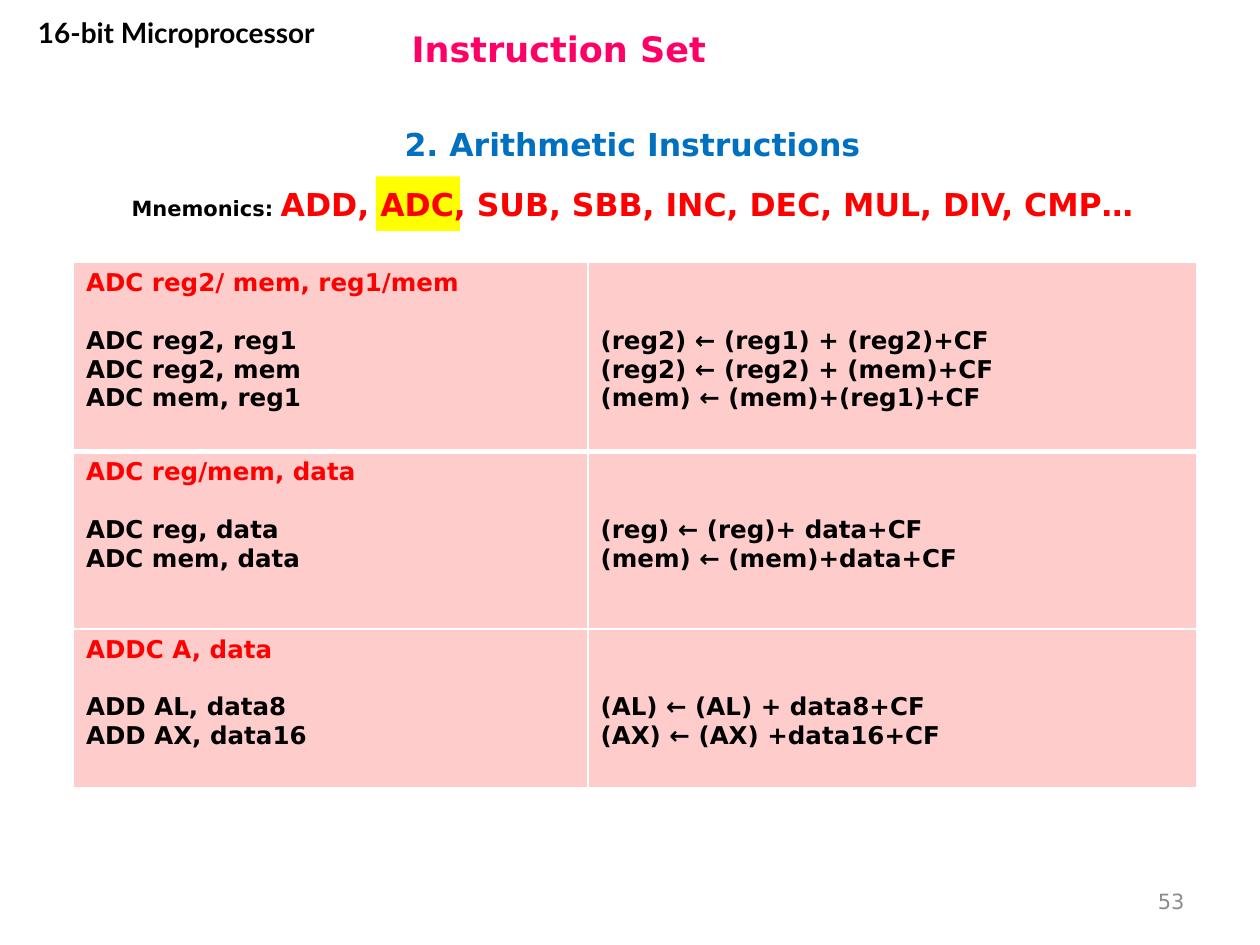
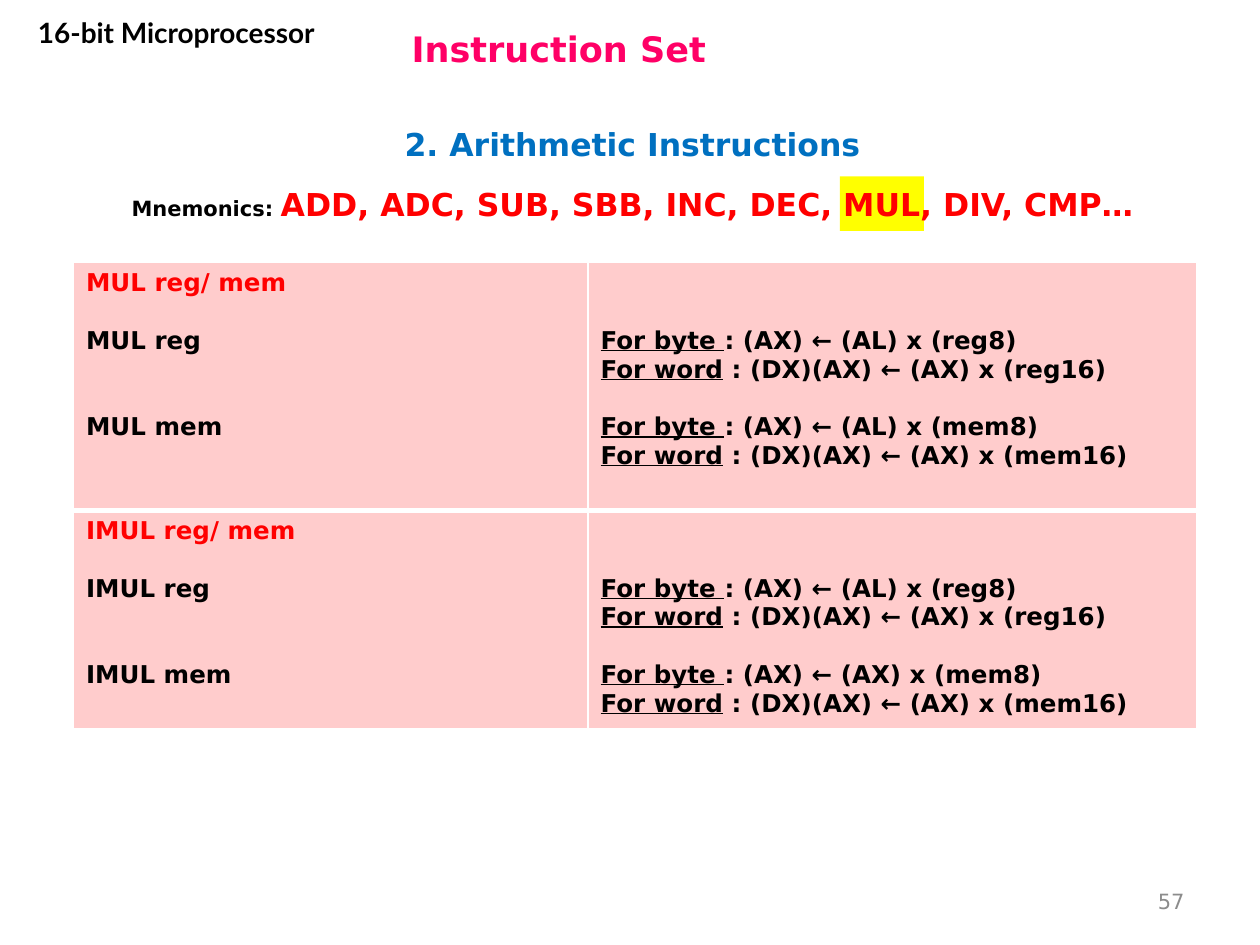
from dataclasses import dataclass
from typing import NamedTuple

from lxml.etree import SubElement
from pptx import Presentation
from pptx.dml.color import RGBColor
from pptx.enum.shapes import MSO_SHAPE as Preset
from pptx.enum.text import MSO_ANCHOR as Anchor, MSO_AUTO_SIZE as AutoSize, PP_ALIGN as Align
from pptx.oxml.ns import qn
from pptx.util import Length, Pt

PINK = RGBColor(0xFF, 0x00, 0x66)
BLUE = RGBColor(0x00, 0x70, 0xC0)
RED = RGBColor(0xFF, 0x00, 0x00)
BLACK = RGBColor(0x00, 0x00, 0x00)
GREY = RGBColor(0x8C, 0x8C, 0x8C)
YELLOW = RGBColor(0xFF, 0xFF, 0x00)
ROSE = RGBColor(0xFF, 0xCC, 0xCC)
WHITE = RGBColor(0xFF, 0xFF, 0xFF)

deck = Presentation()
GRID_COLUMNS, GRID_ROWS = 120, 90
TITLE_ONLY = 5
BLANK_LINE = Pt(16.5)
EFFECT_COLUMN_BLANKS = 2


class Area(NamedTuple):
    left: float
    top: float
    width: float
    height: float


class Style(NamedTuple):
    size: float
    color: RGBColor
    name: str = "DejaVu Sans"
    bold: bool = True
    underline: bool = False


class Run(NamedTuple):
    text: str
    style: Style


class Line(NamedTuple):
    runs: tuple[Run, ...]
    blanks_before: int = 0


@dataclass(frozen=True)
class Label:
    area: Area
    runs: tuple[Run, ...]
    align: Align = Align.CENTER
    anchor: Anchor = Anchor.MIDDLE


@dataclass(frozen=True)
class Group:
    rows: float
    forms: tuple[Line, ...]
    effects: tuple[Line, ...]


@dataclass(frozen=True)
class Page:
    number: str
    highlight_left: float
    groups: tuple[Group, ...]


SYNTAX = Style(14, RED)
CODE = Style(14, BLACK)
MARKED = CODE._replace(underline=True)

TITLE = Label(Area(38, 1.4, 79, 6.4), (Run("Instruction Set", Style(20, PINK)),), Align.LEFT)
SHARED_LABELS = (
    Label(Area(3.5, 11.1, 113.5, 5.2),
          (Run("2. Arithmetic Instructions", Style(18, BLUE)),)),
    Label(Area(0.8, 0.9, 32, 7.7),
          (Run("16-bit Microprocessor", Style(16, BLACK, "Lato")),), anchor=Anchor.TOP),
    Label(Area(3.5, 17, 113.5, 4.8),
          (Run("Mnemonics: ", Style(12, BLACK)),
           Run("ADD, ADC, SUB, SBB, INC, DEC, MUL, DIV, CMP…", Style(18, RED))),
          anchor=Anchor.TOP),
)
NUMBER_AREA = Area(86, 83.4, 28, 4.8)
TABLE_LEFT, TABLE_TOP = 7, 25
TABLE_COLUMNS = (49, 58)


def across(columns: float) -> Length:
    return Length(deck.slide_width * columns / GRID_COLUMNS)


def down(rows: float) -> Length:
    return Length(deck.slide_height * rows / GRID_ROWS)


def place(area: Area) -> tuple[Length, Length, Length, Length]:
    return across(area.left), down(area.top), across(area.width), down(area.height)


def code_line(text: str, blanks: int = 0) -> Line:
    return Line((Run(text, CODE),), blanks)


def add_group(rows: float, syntax: str, *pairs: tuple[str, str]) -> Group:
    forms = [code_line(form, int(i == 0)) for i, (form, _) in enumerate(pairs)]
    heading = Line((Run(syntax, SYNTAX),))
    return Group(rows, (heading, *forms), tuple(code_line(effect) for _, effect in pairs))


def multiply_group(rows: float, mnemonic: str, memory_factor: str) -> Group:
    effects = []
    for blanks, factor, operand in ((0, "AL", "reg"), (1, memory_factor, "mem")):
        effects += [
            Line((Run("For byte ", MARKED),
                  Run(f": (AX) ← ({factor}) x ({operand}8)", CODE)), blanks),
            Line((Run("For word", MARKED),
                  Run(f" : (DX)(AX) ← (AX) x ({operand}16)", CODE))),
        ]
    forms = (Line((Run(f"{mnemonic} reg/ mem", SYNTAX),)),
             code_line(f"{mnemonic} reg", 1), code_line(f"{mnemonic} mem", 2))
    return Group(rows, forms, tuple(effects))


PAGES = (
    Page("53", 35.8, (
        add_group(18, "ADC reg2/ mem, reg1/mem",
                  ("ADC reg2, reg1", "(reg2) ← (reg1) + (reg2)+CF"),
                  ("ADC reg2, mem", "(reg2) ← (reg2) + (mem)+CF"),
                  ("ADC mem, reg1", "(mem) ← (mem)+(reg1)+CF")),
        add_group(16.9, "ADC reg/mem, data",
                  ("ADC reg, data", "(reg) ← (reg)+ data+CF"),
                  ("ADC mem, data", "(mem) ← (mem)+data+CF")),
        add_group(15.1, "ADDC A, data",
                  ("ADD AL, data8", "(AL) ← (AL) + data8+CF"),
                  ("ADD AX, data16", "(AX) ← (AX) +data16+CF")),
    )),
    Page("57", 80, (
        multiply_group(23.6, "MUL", "AL"),
        multiply_group(20.8, "IMUL", "AX"),
    )),
)


def write_runs(paragraph, runs: tuple[Run, ...]) -> None:
    for text, style in runs:
        run = paragraph.add_run()
        run.text = text
        formats = style._asdict()
        run.font.color.rgb = formats.pop("color")
        formats["size"] = Pt(style.size)
        for attribute, value in formats.items():
            setattr(run.font, attribute, value)


def write_label(shape, label: Label) -> None:
    frame = shape.text_frame
    formats = {"word_wrap": True, "auto_size": AutoSize.NONE, "vertical_anchor": label.anchor}
    for attribute, value in formats.items():
        setattr(frame, attribute, value)
    frame.paragraphs[0].alignment = label.align
    write_runs(frame.paragraphs[0], label.runs)


def draw_title(slide) -> None:
    heading = slide.shapes.title
    for side, value in zip(Area._fields, place(TITLE.area)):
        setattr(heading, side, value)
    write_label(heading, TITLE)


def draw_highlight(slide, left: float) -> None:
    marker = slide.shapes.add_shape(Preset.RECTANGLE, *place(Area(left, 16.8, 8, 5.2)))
    marker.shadow.inherit = False
    marker.fill.solid()
    marker.fill.fore_color.rgb = YELLOW
    marker.line.fill.background()


def set_borders(cell, top: float, bottom: float) -> None:
    properties = cell._tc.get_or_add_tcPr()
    for side, points in {"L": 1, "R": 1, "T": top, "B": bottom}.items():
        edge = SubElement(properties, qn(f"a:ln{side}"), w=str(Pt(points)))
        paint = SubElement(edge, qn("a:solidFill"))
        SubElement(paint, qn("a:srgbClr"), val=str(WHITE))


def write_cell(cell, lines: tuple[Line, ...]) -> None:
    frame = cell.text_frame
    for i, line in enumerate(lines):
        paragraph = frame.add_paragraph() if i else frame.paragraphs[0]
        if line.blanks_before:
            paragraph.space_before = line.blanks_before * BLANK_LINE
        write_runs(paragraph, line.runs)


def draw_instructions(slide, groups: tuple[Group, ...]) -> None:
    area = Area(TABLE_LEFT, TABLE_TOP, sum(TABLE_COLUMNS), sum(g.rows for g in groups))
    table = slide.shapes.add_table(len(groups), len(TABLE_COLUMNS), *place(area)).table
    table.first_row = table.horz_banding = False
    for column, width in zip(table.columns, TABLE_COLUMNS):
        column.width = across(width)
    for r, group in enumerate(groups):
        table.rows[r].height = down(group.rows)
        for c, lines in enumerate((group.forms, group.effects)):
            cell = table.cell(r, c)
            set_borders(cell, top=3 if r == 1 else 1, bottom=3 if r == 0 else 1)
            cell.fill.solid()
            cell.fill.fore_color.rgb = ROSE
            write_cell(cell, lines)
        effect = table.cell(r, 1)
        effect.margin_top = effect.margin_top + EFFECT_COLUMN_BLANKS * BLANK_LINE


def draw_page(page: Page) -> None:
    slide = deck.slides.add_slide(deck.slide_layouts[TITLE_ONLY])
    draw_highlight(slide, page.highlight_left)
    draw_title(slide)
    number = Label(NUMBER_AREA, (Run(page.number, Style(12, GREY, bold=False)),), Align.RIGHT)
    for label in (*SHARED_LABELS, number):
        write_label(slide.shapes.add_textbox(*place(label.area)), label)
    draw_instructions(slide, page.groups)


def main() -> None:
    deck.slide_width, deck.slide_height = Pt(720), Pt(540)
    for page in PAGES:
        draw_page(page)
    deck.save("out.pptx")


if __name__ == "__main__":
    main()
